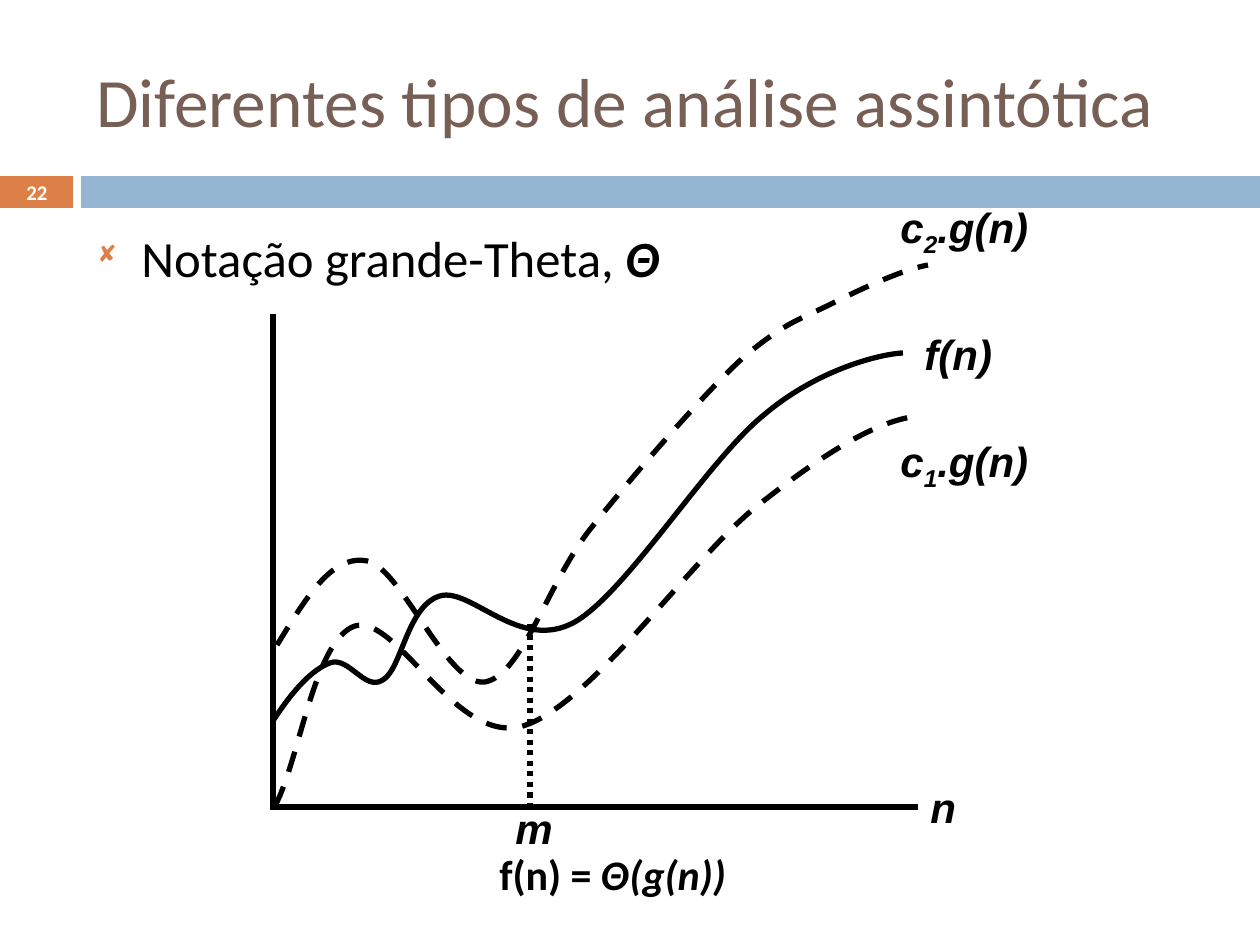
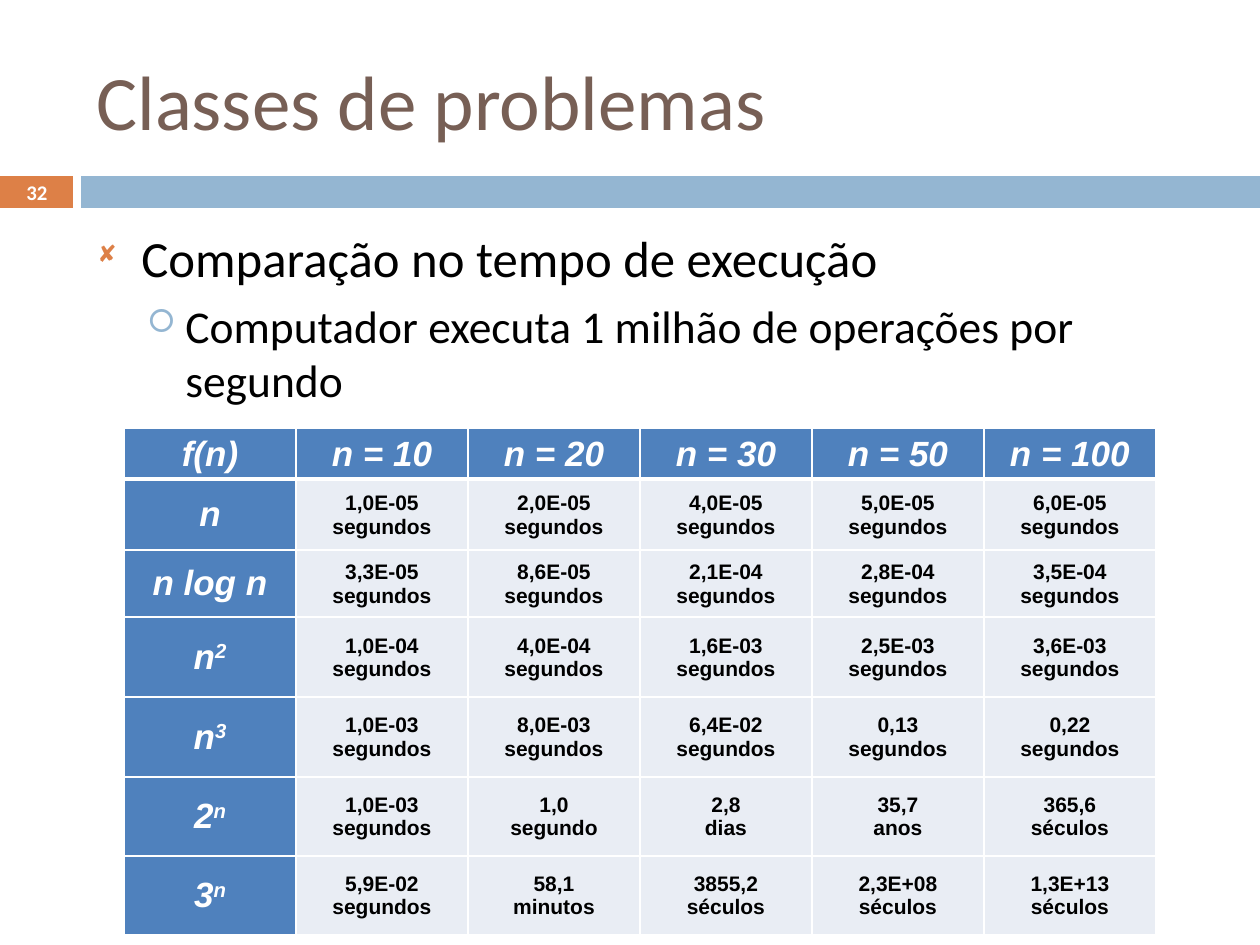
import pptx
import pptx.util
import pptx.dml.color
import pptx.enum.dml
import pptx.enum.shapes
import pptx.enum.text
import pptx.oxml
import pptx.oxml.ns

# ---- Content: a text run is (text, format values that differ) ----
THETA = {"bold": True, "italic": True}
SLIDES = [
    {
        "title": "Diferentes tipos de análise assintótica",
        "title_size": 39.6,
        "number": "22",
        "bullets": [(0, [("Notação grande-Theta, ", {}), ("Θ", THETA)])],
    },
    {
        "title": "Classes de problemas",
        "title_size": 44,
        "number": "32",
        "bullets": [
            (0, [("Comparação no tempo de execução", {})]),
            (1, [("Computador executa 1 milhão de operações por segundo", {})]),
        ],
    },
]

# Curves as cubic chains: start, then two controls and an end per piece
CURVES = [
    ("f(n)", "SOLID", [
        (273, 721), (294, 689), (312, 670), (330, 663), (349, 656), (365, 692),
        (383, 680), (402, 669), (407, 606), (440, 596), (471, 587), (520, 653),
        (575, 622), (627, 592), (708, 460), (764, 415), (818, 369), (881, 354),
        (903, 353)]),
    ("c1.g(n)", "DASH", [
        (275, 806), (300, 759), (314, 640), (355, 626), (397, 614), (456, 746),
        (523, 726), (590, 706), (692, 558), (756, 507), (820, 456), (873, 423),
        (912, 417)]),
    ("c2.g(n)", "DASH", [
        (277, 645), (305, 600), (331, 554), (367, 561), (401, 567), (447, 687),
        (485, 682), (523, 675), (548, 581), (592, 527), (635, 473), (706, 391),
        (746, 355), (788, 321), (799, 320), (829, 305), (859, 290), (901, 270),
        (928, 265)]),
]
STRAIGHT_LINES = [
    ("n axis", "SOLID", (273, 807), (918, 807)),
    ("time axis", "SOLID", (273, 810), (273, 314)),
    ("threshold m", "ROUND_DOT", (530, 624), (530, 808)),
]
SUB = {"baseline": -25}
CHART_LABELS = [
    ((918, 775, 59, 63), [("n", {})]),
    ((503, 796, 59, 63), [("m", {})]),
    ((888, 429, 169, 63), [("c", {}), ("1", SUB), (".g(n)", {})]),
    ((912, 322, 134, 63), [("f(n)", {})]),
    ((888, 195, 169, 63), [("c", {}), ("2", SUB), (".g(n)", {})]),
    ((487, 842, 305, 63), [("f(n) = ", {"name": "Calibri", "italic": False}),
                           ("Θ(g(n))", {"name": "Calibri"})]),
]

SUP = {"baseline": 30}
SIZES = ["f(n)", "n = 10", "n = 20", "n = 30", "n = 50", "n = 100"]
RUN_TIMES = [
    ([("n", {})], ["1,0E-05 segundos", "2,0E-05 segundos", "4,0E-05 segundos",
                   "5,0E-05 segundos", "6,0E-05 segundos"]),
    ([("n log n", {})], ["3,3E-05 segundos", "8,6E-05 segundos", "2,1E-04 segundos",
                         "2,8E-04 segundos", "3,5E-04 segundos"]),
    ([("n", {}), ("2", SUP)], ["1,0E-04 segundos", "4,0E-04 segundos", "1,6E-03 segundos",
                               "2,5E-03 segundos", "3,6E-03 segundos"]),
    ([("n", {}), ("3", SUP)], ["1,0E-03 segundos", "8,0E-03 segundos", "6,4E-02 segundos",
                               "0,13 segundos", "0,22 segundos"]),
    ([("2", {}), ("n", SUP)], ["1,0E-03 segundos", "1,0 segundo", "2,8 dias",
                               "35,7 anos", "365,6 séculos"]),
    ([("3", {}), ("n", SUP)], ["5,9E-02 segundos", "58,1 minutos", "3855,2 séculos",
                               "2,3E+08 séculos", "1,3E+13 séculos"]),
]
ROW_HEIGHTS = [51, 71, 67, 80, 80, 79, 79]
COLUMN_WIDTH = 172

# ---- Shared look ----
SCALE = 914400 / 126
COLORS = {
    "title": "775F55", "orange": "DD8047", "blue": "94B6D2", "text": "000000",
    "white": "FFFFFF", "header": "4F81BD", "value": "E9EDF4",
}
TITLE = {"name": "Calibri", "color": "title"}
NUMBER = {"name": "Calibri", "size": 11.9, "bold": True, "color": "white"}
LABEL = {"name": "Arial", "size": 24, "bold": True, "italic": True, "color": "text"}
HEADER = {**LABEL, "size": 20, "color": "white"}
VALUE = {**LABEL, "size": 12, "italic": False}
LEVELS = [
    {"char": "◻", "color": "orange", "percent": 60, "left": 44, "hang": 44,
     "before": 7, "font": {"name": "Calibri", "size": 29, "color": "text"}},
    {"char": "□", "color": "blue", "percent": 70, "left": 88, "hang": 38,
     "before": 5.5, "font": {"name": "Calibri", "size": 26, "color": "text"}},
]
MIDDLE = pptx.enum.text.MSO_ANCHOR.MIDDLE
CENTER = pptx.enum.text.PP_ALIGN.CENTER
LINE_WIDTH = 3


def px(length):
    return pptx.util.Emu(round(length * SCALE))


def rgb(color):
    return pptx.dml.color.RGBColor.from_string(COLORS[color])


def add_child(parent, tag, **attributes):
    child = pptx.oxml.parse_xml(f"<a:{tag} {pptx.oxml.ns.nsdecls('a')}/>")
    for key, value in attributes.items():
        child.set(key, str(value))
    parent.append(child)
    return child


def write(paragraph, runs, base):
    for text, changes in runs:
        run = paragraph.add_run()
        run.text = text
        for key, value in {**base, **changes}.items():
            if key == "color":
                run.font.color.rgb = rgb(value)
            elif key == "baseline":
                run.font._element.set("baseline", str(value * 1000))
            else:
                setattr(run.font, key, pptx.util.Pt(value) if key == "size" else value)


def add_text(slide, place, runs, base, anchor=None, align=None):
    frame = slide.shapes.add_textbox(*map(px, place)).text_frame
    frame.word_wrap = True
    frame.vertical_anchor = anchor
    frame.paragraphs[0].alignment = align
    write(frame.paragraphs[0], runs, base)
    return frame


def add_band(slide, place, color):
    band = slide.shapes.add_shape(pptx.enum.shapes.MSO_SHAPE.RECTANGLE, *map(px, place))
    band.shadow.inherit = False
    band.fill.solid()
    band.fill.fore_color.rgb = rgb(color)
    band.line.fill.background()


def add_bullets(slide, bullets):
    frame = add_text(slide, (85, 221, 1124, 620), [], {})
    for index, (level, runs) in enumerate(bullets):
        look = LEVELS[level]
        paragraph = frame.add_paragraph() if index else frame.paragraphs[0]
        if index:
            paragraph.space_before = pptx.util.Pt(look["before"])
        paragraph.level = level
        properties = paragraph._p.get_or_add_pPr()
        properties.set("marL", str(px(look["left"])))
        properties.set("indent", str(-px(look["hang"])))
        add_child(add_child(properties, "buClr"), "srgbClr", val=COLORS[look["color"]])
        add_child(properties, "buSzPct", val=look["percent"] * 1000)
        add_child(properties, "buFont", typeface="Wingdings", charset=2)
        add_child(properties, "buChar", char=look["char"])
        write(paragraph, runs, look["font"])


def start_slide(deck, content):
    slide = deck.slides.add_slide(deck.slide_layouts[6])
    add_band(slide, (0, 176, 73, 32), "orange")
    add_band(slide, (81, 176, 1179, 32), "blue")
    add_text(slide, (84, 32, 1124, 136), [(content["title"], {})],
             {**TITLE, "size": content["title_size"]}, MIDDLE)
    add_text(slide, (0, 175, 74, 34), [(content["number"], {})], NUMBER, MIDDLE, CENTER)
    add_bullets(slide, content["bullets"])
    return slide


# ---- Growth chart ----
def style_line(line, dash):
    line.color.rgb = rgb("text")
    line.width = pptx.util.Pt(LINE_WIDTH)
    line.dash_style = getattr(pptx.enum.dml.MSO_LINE, dash)


def add_curve(slide, chain):
    points = [(px(x), px(y)) for x, y in chain]
    builder = slide.shapes.build_freeform(*points[0], scale=1.0)
    builder.add_line_segments(points[1:], close=False)
    curve = builder.convert_to_shape()
    # Every three straight steps become one cubic piece
    steps = curve._element.findall(".//" + pptx.oxml.ns.qn("a:lnTo"))
    outline = steps[0].getparent()
    for first in range(0, len(steps), 3):
        piece = add_child(outline, "cubicBezTo")
        for step in steps[first:first + 3]:
            piece.append(step[0])
            outline.remove(step)
    return curve


def draw_growth(slide):
    for _, dash, start, end in STRAIGHT_LINES:
        axis = slide.shapes.add_connector(
            pptx.enum.shapes.MSO_CONNECTOR.STRAIGHT, *map(px, start + end))
        style_line(axis.line, dash)
        add_child(axis._element.spPr, "effectLst")
    for _, dash, chain in CURVES:
        curve = add_curve(slide, chain)
        curve.shadow.inherit = False
        curve.fill.background()
        style_line(curve.line, dash)
    for place, runs in CHART_LABELS:
        add_text(slide, place, runs, LABEL)


# ---- Table of run times ----
def style_cell(cell, color, widths):
    properties = cell._tc.get_or_add_tcPr()
    for side, width in widths.items():
        border = add_child(properties, side, w=pptx.util.Pt(width))
        add_child(add_child(border, "solidFill"), "srgbClr", val=COLORS["white"])
    cell.fill.solid()
    cell.fill.fore_color.rgb = rgb(color)


def draw_run_times(slide):
    rows = [[[[(size, {})]] for size in SIZES]]
    for name, values in RUN_TIMES:
        rows.append([[name]] + [[[(part, {})] for part in value.split()] for value in values])
    table = slide.shapes.add_table(len(rows), len(SIZES), px(124), px(428),
                                   px(COLUMN_WIDTH * len(SIZES)), px(sum(ROW_HEIGHTS))).table
    table.first_row = table.horz_banding = False
    for column in table.columns:
        column.width = px(COLUMN_WIDTH)
    for r, row in enumerate(rows):
        table.rows[r].height = px(ROW_HEIGHTS[r])
        for c, lines in enumerate(row):
            cell = table.cell(r, c)
            is_value = r > 0 and c > 0
            style_cell(cell, "value" if is_value else "header",
                       {"lnL": 1, "lnR": 1, "lnT": 3 if r == 1 else 1,
                        "lnB": 3 if r == 0 else 1})
            if r:
                cell.vertical_anchor = MIDDLE
            else:
                cell.margin_bottom = px(2)
            if is_value:
                for side in ("left", "right", "top"):
                    setattr(cell, f"margin_{side}", px(1))
                cell.margin_bottom = 0
            for index, runs in enumerate(lines):
                frame = cell.text_frame
                paragraph = frame.add_paragraph() if index else frame.paragraphs[0]
                paragraph.alignment = CENTER
                write(paragraph, runs, VALUE if is_value else HEADER)


def main():
    deck = pptx.Presentation()
    deck.slide_width, deck.slide_height = px(1260), px(945)
    for content, draw in zip(SLIDES, (draw_growth, draw_run_times)):
        draw(start_slide(deck, content))
    deck.save("out.pptx")


if __name__ == "__main__":
    main()
